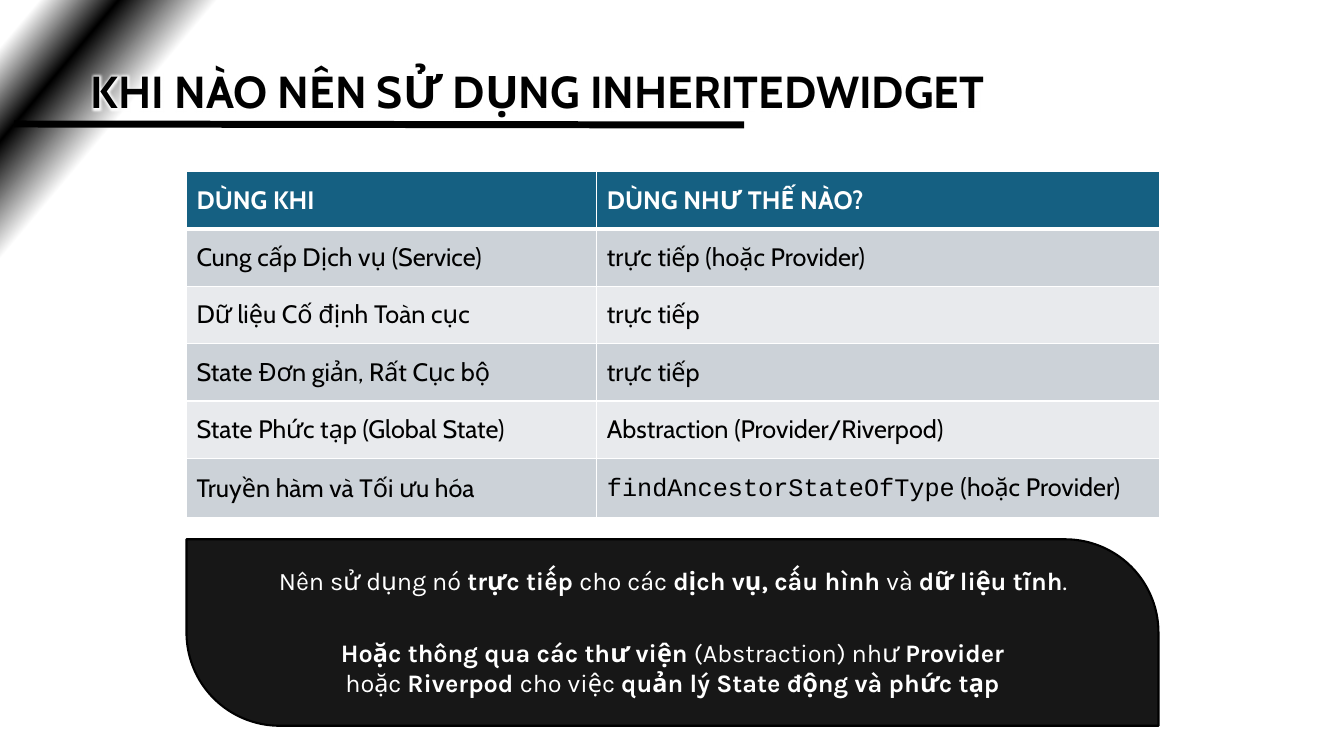
from copy import deepcopy
from dataclasses import dataclass

from lxml import etree
from pptx import Presentation
from pptx.dml.color import RGBColor
from pptx.enum import shapes, text
from pptx.oxml.ns import qn
from pptx.util import Inches, Pt


@dataclass(frozen=True)
class Theme:
    black: str = "000000"
    white: str = "FFFFFF"
    header: str = "156082"
    bands: tuple[str, str] = ("CCD2D8", "E8EAED")
    panel: str = "171717"
    heading_font: str = "Cabin"
    body_font: str = "Karla"
    code_font: str = "Courier New"
    title_size: int = 32
    body_size: int = 18


@dataclass(frozen=True)
class Run:
    text: str
    bold: bool = False
    font: str | None = None


@dataclass(frozen=True)
class Note:
    left: float
    top: float
    width: float
    height: float
    runs: tuple[Run, ...]


THEME = Theme()

HEADINGS = ("DÙNG KHI", "DÙNG NHƯ THẾ NÀO?")
USE_CASES = (
    ("Cung cấp Dịch vụ (Service)", (Run("trực tiếp (hoặc Provider)"),)),
    ("Dữ liệu Cố định Toàn cục", (Run("trực tiếp"),)),
    ("State Đơn giản, Rất Cục bộ", (Run("trực tiếp"),)),
    ("State Phức tạp (Global State)", (Run("Abstraction (Provider/Riverpod)"),)),
    ("Truyền hàm và Tối ưu hóa",
     (Run("findAncestorStateOfType", font=THEME.code_font), Run(" (hoặc Provider)"))),
)
COLUMN_WIDTHS = (4.07, 5.58)
ROW_HEIGHTS = (0.57,) * 5 + (0.59,)

NOTES = (
    Note(2.56, 5.56, 8.23, 0.4, (
        Run("Nên sử dụng nó "), Run("trực tiếp ", True), Run("cho các "),
        Run("dịch vụ, cấu hình ", True), Run("và "),
        Run("dữ liệu tĩnh", True), Run("."))),
    Note(3.01, 6.27, 7.32, 1.01, (
        Run("Hoặc thông qua các thư viện", True), Run(" (Abstraction) như "),
        Run("Provider ", True), Run("hoặc "), Run("Riverpod ", True),
        Run("cho việc "), Run("quản lý State động và phức tạp", True))),
)


def color(value: str) -> RGBColor:
    return RGBColor.from_string(value)


def write_text(frame, runs, *, font: str, fill: str, size: int = THEME.body_size,
               align=text.PP_ALIGN.LEFT) -> None:
    """Fill the first paragraph of a text frame with formatted runs."""
    paragraph = frame.paragraphs[0]
    paragraph.alignment = align
    for item in runs:
        run = paragraph.add_run()
        run.text = item.text
        run.font.name = item.font or font
        run.font.size = Pt(size)
        run.font.bold = item.bold
        run.font.color.rgb = color(fill)


def paint_background(slide) -> None:
    """Lay one dark diagonal band over the top left corner."""
    fill = slide.background.fill
    fill.gradient()
    fill.gradient_angle = 320
    stop_list = next(slide.element.iter(qn("a:gsLst")))
    stop_list.append(deepcopy(stop_list[0]))
    stops = ((0.02, THEME.white), (0.06, THEME.black), (0.11, THEME.white))
    for stop, (position, value) in zip(fill.gradient_stops, stops):
        stop.position = position
        stop.color.rgb = color(value)


def add_title(slide) -> None:
    title = slide.shapes.title
    title.left, title.top = Inches(0.8), Inches(0.58)
    title.width, title.height = Inches(9.83), Inches(0.64)
    frame = title.text_frame
    frame.auto_size = text.MSO_AUTO_SIZE.NONE
    frame.vertical_anchor = text.MSO_ANCHOR.MIDDLE
    write_text(frame, [Run("KHI NÀO NÊN SỬ DỤNG INHERITEDWIDGET", True)],
               font=THEME.heading_font, fill=THEME.black, size=THEME.title_size)
    properties = next(title.element.iter(qn("a:rPr")))
    effects = etree.Element(qn("a:effectLst"))
    glow = etree.SubElement(effects, qn("a:glow"), rad=str(Pt(5)))
    etree.SubElement(glow, qn("a:srgbClr"), val=THEME.white)
    properties.find(qn("a:solidFill")).addnext(effects)


def add_underline(slide) -> None:
    line = slide.shapes.add_connector(shapes.MSO_CONNECTOR.STRAIGHT, Inches(0.14),
                                      Inches(1.23), Inches(7.38), Inches(1.24))
    line.line.color.rgb = color(THEME.black)
    line.line.width = Pt(5)
    etree.SubElement(line.element.spPr, qn("a:effectLst"))


def set_borders(cell, widths: dict[str, float]) -> None:
    """Draw white borders; widths are points keyed by side letter."""
    properties = cell._tc.get_or_add_tcPr()
    for index, (side, width) in enumerate(widths.items()):
        border = etree.Element(qn(f"a:ln{side}"), w=str(Pt(width)))
        fill = etree.SubElement(border, qn("a:solidFill"))
        etree.SubElement(fill, qn("a:srgbClr"), val=THEME.white)
        properties.insert(index, border)


def add_use_case_table(slide) -> None:
    rows = [tuple((Run(heading, True),) for heading in HEADINGS)]
    rows += [((Run(case),), answer) for case, answer in USE_CASES]
    table = slide.shapes.add_table(len(rows), len(HEADINGS), Inches(1.85), Inches(1.7),
                                   Inches(sum(COLUMN_WIDTHS)),
                                   Inches(sum(ROW_HEIGHTS))).table
    for column, width in zip(table.columns, COLUMN_WIDTHS):
        column.width = Inches(width)
    for index, (row, height) in enumerate(zip(table.rows, ROW_HEIGHTS)):
        row.height = Inches(height)
        is_header = index == 0
        background = THEME.header if is_header else THEME.bands[(index - 1) % 2]
        for cell, runs in zip(row.cells, rows[index]):
            cell.fill.solid()
            cell.fill.fore_color.rgb = color(background)
            cell.vertical_anchor = text.MSO_ANCHOR.MIDDLE
            set_borders(cell, {"L": 1, "R": 1, "T": 3 if index == 1 else 1,
                               "B": 3 if is_header else 1})
            write_text(cell.text_frame, runs, font=THEME.heading_font,
                       fill=THEME.white if is_header else THEME.black)


def add_panel(slide) -> None:
    panel = slide.shapes.add_shape(shapes.MSO_SHAPE.ROUND_2_DIAG_RECTANGLE, Inches(1.85),
                                   Inches(5.35), Inches(9.64), Inches(1.85))
    panel.adjustments[0], panel.adjustments[1] = 0, 0.5
    panel.shadow.inherit = False
    panel.fill.solid()
    panel.fill.fore_color.rgb = color(THEME.panel)
    panel.line.color.rgb = color(THEME.black)
    panel.line.width = Pt(1.5)


def add_note(slide, note: Note) -> None:
    box = slide.shapes.add_textbox(Inches(note.left), Inches(note.top),
                                   Inches(note.width), Inches(note.height))
    box.text_frame.word_wrap = True
    write_text(box.text_frame, note.runs, font=THEME.body_font, fill=THEME.white,
               align=text.PP_ALIGN.CENTER)


def main() -> None:
    presentation = Presentation()
    presentation.slide_width, presentation.slide_height = Inches(13.33), Inches(7.5)
    slide = presentation.slides.add_slide(presentation.slide_layouts[5])
    paint_background(slide)
    add_title(slide)
    add_underline(slide)
    add_use_case_table(slide)
    add_panel(slide)
    for note in NOTES:
        add_note(slide, note)
    presentation.save("out.pptx")


if __name__ == "__main__":
    main()
